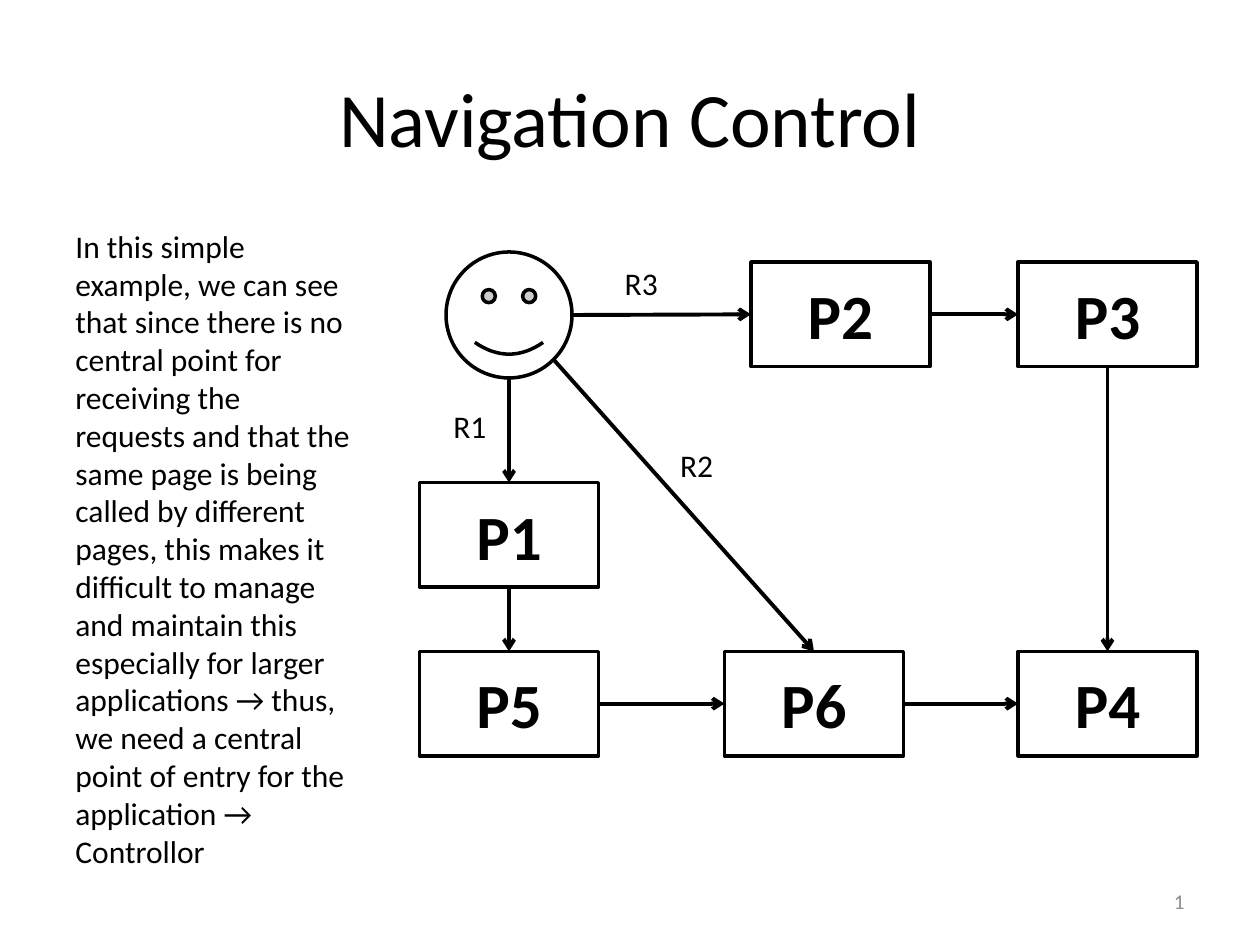
from dataclasses import dataclass
from math import sqrt

from lxml.etree import SubElement
from pptx import Presentation
from pptx.dml.color import RGBColor
from pptx.enum.shapes import MSO_CONNECTOR, MSO_SHAPE
from pptx.enum.text import MSO_ANCHOR, PP_ALIGN
from pptx.oxml.ns import qn
from pptx.util import Inches, Pt


@dataclass(frozen=True)
class Theme:
    """Colours, font and sizes of the slide."""
    font: str = "Calibri"
    ink: RGBColor = RGBColor(0, 0, 0)
    paper: RGBColor = RGBColor(255, 255, 255)
    muted: RGBColor = RGBColor(0x8C, 0x8C, 0x8C)
    title: int = 44
    page: int = 36
    body: int = 18
    number: int = 12
    outline: float = 2
    arrow: float = 2.25


THEME = Theme()
TITLE = "Navigation Control"
BODY = (
    "In this simple example, we can see that since there is no central point "
    "for receiving the requests and that the same page is being called by "
    "different pages, this makes it difficult to manage and maintain this "
    "especially for larger applications \u2192 thus, we need a central point of "
    "entry for the application \u2192 Controllor"
)
SLIDE_NUMBER = "6"

PAGE_W, PAGE_H = 1.42, 0.83
TOP_ROW, MIDDLE_ROW, BOTTOM_ROW = 2.08, 3.83, 5.17
LEFT_COL, RIGHT_COL = 3.33, 8.08
PAGES = {
    "P1": (LEFT_COL, MIDDLE_ROW),
    "P2": (5.96, TOP_ROW),
    "P3": (RIGHT_COL, TOP_ROW),
    "P4": (RIGHT_COL, BOTTOM_ROW),
    "P5": (LEFT_COL, BOTTOM_ROW),
    "P6": (5.75, BOTTOM_ROW),
}
USER = "User"
USER_BOX = (3.54, 2, 1, 1)
ARROWS = [
    ("P3", "bottom", "P4", "top"),
    (USER, "bottom", "P1", "top"),
    (USER, "right", "P2", "left"),
    ("P2", "right", "P3", "left"),
    ("P1", "bottom", "P5", "top"),
    ("P5", "right", "P6", "left"),
    ("P6", "right", "P4", "left"),
    (USER, "lower right", "P6", "top"),
]
REQUESTS = {"R3": (4.86, 2.05), "R2": (5.3, 3.49), "R1": (3.5, 3.18)}

DIAGONAL = 0.5 + sqrt(2) / 4
SIDES = {
    "top": (0.5, 0), "left": (0, 0.5), "bottom": (0.5, 1), "right": (1, 0.5),
    "lower right": (DIAGONAL, DIAGONAL),
}
RECT_SITES = {"top": 0, "left": 1, "bottom": 2, "right": 3}


def inches(*values):
    """Convert several numbers to lengths."""
    return [Inches(v) for v in values]


def style(p, size, color=THEME.ink, align=PP_ALIGN.LEFT, bold=False):
    """Format a paragraph and its runs."""
    p.alignment = align
    for r in p.runs:
        r.font.name, r.font.size, r.font.bold = THEME.font, Pt(size), bold
        r.font.color.rgb = color


def add_text(s, box, text, size):
    """Add a wrapped text box."""
    tf = s.shapes.add_textbox(*inches(*box)).text_frame
    tf.word_wrap = True
    tf.text = text
    style(tf.paragraphs[0], size)
    return tf


def add_slide_number(s):
    """Add the slide number as a field at the lower right."""
    tf = add_text(s, (7.17, 6.95, 2.33, 0.4), SLIDE_NUMBER, THEME.number)
    tf.vertical_anchor = MSO_ANCHOR.MIDDLE
    p = tf.paragraphs[0]
    style(p, THEME.number, THEME.muted, PP_ALIGN.RIGHT)
    r = p.runs[0]._r
    r.tag = qn("a:fld")
    r.set("id", "{B6F15528-21DE-4FAA-801E-634DDDAF4B2B}")
    r.set("type", "slidenum")


def add_node(s, kind, box):
    """Add an outlined white shape."""
    sp = s.shapes.add_shape(kind, *inches(*box))
    sp.shadow.inherit = False
    sp.fill.solid()
    sp.fill.fore_color.rgb = THEME.paper
    sp.line.color.rgb = THEME.ink
    sp.line.width = Pt(THEME.outline)
    return sp


def add_page(s, name, left, top):
    """Add a labelled page box."""
    sp = add_node(s, MSO_SHAPE.RECTANGLE, (left, top, PAGE_W, PAGE_H))
    tf = sp.text_frame
    tf.text = name
    tf.vertical_anchor = MSO_ANCHOR.MIDDLE
    style(tf.paragraphs[0], THEME.page, align=PP_ALIGN.CENTER, bold=True)
    return sp


def side_point(sp, side):
    """Return the point where an arrow meets a node."""
    fx, fy = SIDES[side]
    return int(sp.left + fx * sp.width), int(sp.top + fy * sp.height)


def add_arrow(s, start, start_side, end, end_side):
    """Join two nodes with an arrow, attached to the page boxes."""
    c = s.shapes.add_connector(MSO_CONNECTOR.STRAIGHT,
                               *side_point(start, start_side),
                               *side_point(end, end_side))
    if start.auto_shape_type == MSO_SHAPE.RECTANGLE:
        c.begin_connect(start, RECT_SITES[start_side])
    c.end_connect(end, RECT_SITES[end_side])
    c.line.color.rgb = THEME.ink
    c.line.width = Pt(THEME.arrow)
    SubElement(c.line._get_or_add_ln(), qn("a:tailEnd"), type="arrow")
    SubElement(c._element.spPr, qn("a:effectLst"))


def main():
    """Build the slide and save it."""
    prs = Presentation()
    prs.slide_width, prs.slide_height = inches(10, 7.5)
    s = prs.slides.add_slide(prs.slide_layouts[5])

    title = s.shapes.title
    title.left, title.top, title.width, title.height = inches(0.5, 0.3, 9, 1.25)
    title.text_frame.text = TITLE
    title.text_frame.vertical_anchor = MSO_ANCHOR.MIDDLE
    style(title.text_frame.paragraphs[0], THEME.title, align=PP_ALIGN.CENTER)

    add_slide_number(s)
    nodes = {name: add_page(s, name, *at) for name, at in PAGES.items()}
    nodes[USER] = add_node(s, MSO_SHAPE.SMILEY_FACE, USER_BOX)
    for start, start_side, end, end_side in ARROWS:
        add_arrow(s, nodes[start], start_side, nodes[end], end_side)
    for name, at in REQUESTS.items():
        add_text(s, (*at, 0.5, 0.4), name, THEME.body)
    add_text(s, (0.5, 1.75, 2.42, 5.25), BODY, THEME.body)

    prs.save("out.pptx")


main()
